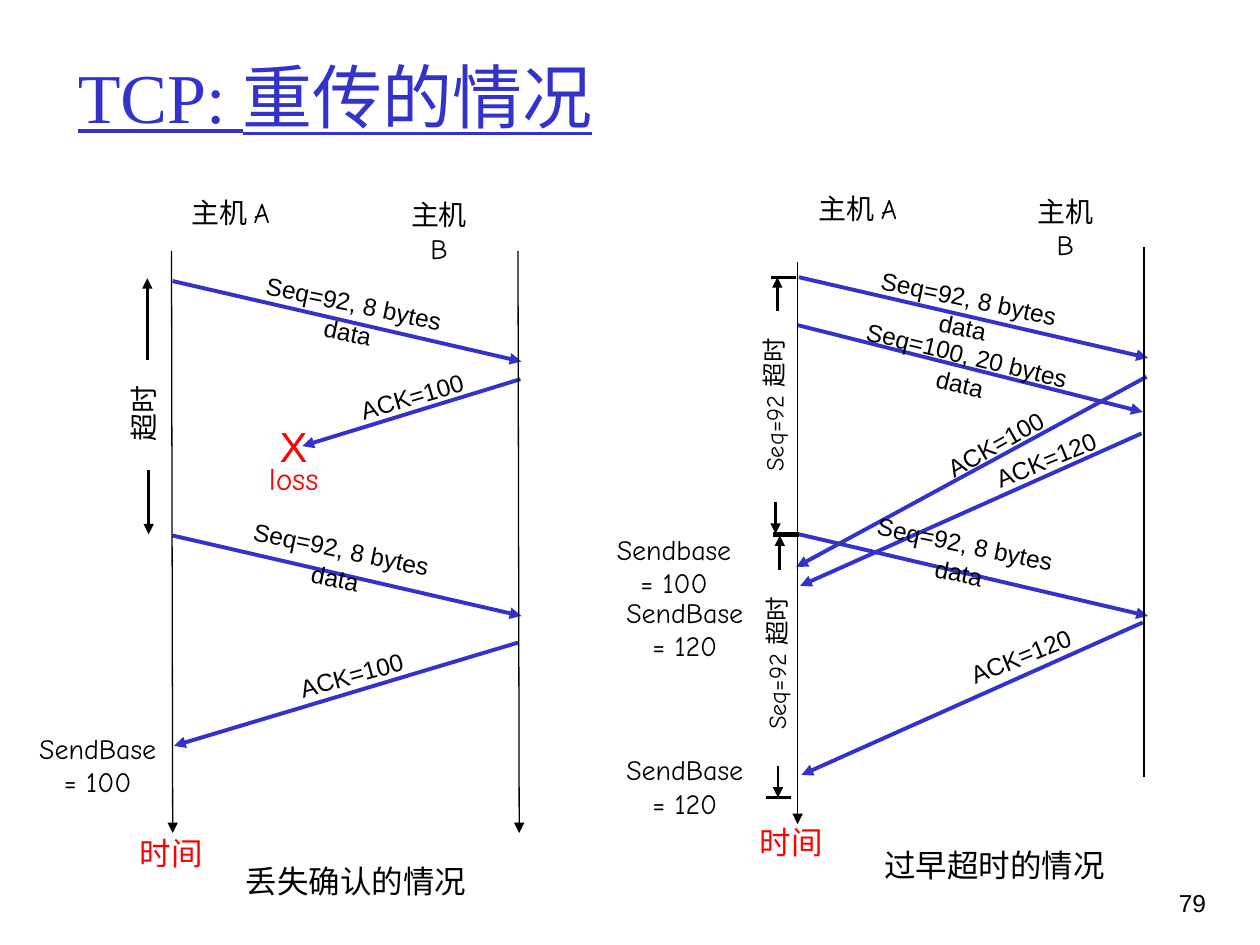
import pptx
import pptx.dml.color
import pptx.enum.shapes
import pptx.enum.text
import pptx.oxml.ns
import pptx.util
from lxml import etree

Pt = pptx.util.Pt
BLUE = pptx.dml.color.RGBColor(0x33, 0x33, 0xCC)
BLACK = pptx.dml.color.RGBColor(0, 0, 0)
RED = pptx.dml.color.RGBColor(0xFF, 0, 0)
SANS = "Arial"
HAND = "Comic Neue"
SERIF = "Times New Roman"
SEQ_92 = "Seq=92, 8 bytes data"
SEQ_WIDTH = 142
SEQ_TILT = 11.8


def add_line(slide, x1, y1, x2, y2, color=BLACK, width=1.5, arrow=True):
    line = slide.shapes.add_connector(
        pptx.enum.shapes.MSO_CONNECTOR.STRAIGHT, Pt(x1), Pt(y1), Pt(x2), Pt(y2))
    line.line.color.rgb = color
    line.line.width = Pt(width)
    if arrow:
        tail = etree.SubElement(line.line._get_or_add_ln(), pptx.oxml.ns.qn("a:tailEnd"))
        tail.set("type", "triangle")
    etree.SubElement(line._element.spPr, pptx.oxml.ns.qn("a:effectLst"))


def add_message(slide, x1, y1, x2, y2):
    add_line(slide, x1, y1, x2, y2, BLUE, 2.25)


def add_label(slide, text, center_x, center_y, width, size=14, font=SANS,
              color=BLACK, rotation=0, wrap=False):
    lines = text.split("\n")
    height = 1.2 * size * len(lines) + 7.2
    label = slide.shapes.add_textbox(
        Pt(center_x - width / 2), Pt(center_y - height / 2), Pt(width), Pt(height))
    label.rotation = rotation
    frame = label.text_frame
    frame.word_wrap = wrap
    if not wrap:
        frame.auto_size = pptx.enum.text.MSO_AUTO_SIZE.SHAPE_TO_FIT_TEXT
    frame.text = text
    for paragraph in frame.paragraphs:
        paragraph.alignment = pptx.enum.text.PP_ALIGN.CENTER
        paragraph.font.size = Pt(size)
        paragraph.font.name = font
        paragraph.font.color.rgb = color


def add_segment(slide, text, x, y, tilt=SEQ_TILT):
    add_label(slide, text, x, y, SEQ_WIDTH, rotation=tilt, wrap=True)


def add_ack(slide, number, x, y, tilt):
    add_label(slide, f"ACK={number}", x, y, 76, rotation=tilt)


def add_send_base(slide, name, number, x, y):
    add_label(slide, f"{name}\n= {number}", x, y, 87, 16, HAND)


def add_hosts(slide, a_x, a_y, b_x, b_y):
    add_label(slide, "主机 A", a_x, a_y, 63, 16, HAND)
    add_label(slide, "主机 B", b_x, b_y, 56, 16, HAND, wrap=True)


def add_timeout(slide, x, top, bottom, top_tick, bottom_tick):
    add_label(slide, "Seq=92 超时", x - 2, top + 73, 95, 14, HAND, rotation=270)
    add_line(slide, x, top + 19.5, x, top)
    add_line(slide, x - 1, bottom - 18, x - 1, bottom)
    for tick, y in ((top_tick, top), (bottom_tick, bottom)):
        add_line(slide, tick, y, tick + 14.4, y, arrow=False)


def add_heading(slide):
    heading = slide.shapes.add_textbox(Pt(37.4), Pt(18.7), Pt(612), Pt(71.3))
    frame = heading.text_frame
    frame.word_wrap = True
    frame.vertical_anchor = pptx.enum.text.MSO_ANCHOR.MIDDLE
    frame.text = "TCP: 重传的情况"
    font = frame.paragraphs[0].font
    font.size = Pt(40)
    font.name = SERIF
    font.color.rgb = BLUE
    font.underline = True


def add_page_number(slide):
    number = slide.shapes.add_textbox(Pt(643), Pt(504), Pt(53.3), Pt(36))
    number.text_frame.word_wrap = True
    number.text_frame.text = "79"
    paragraph = number.text_frame.paragraphs[0]
    paragraph.alignment = pptx.enum.text.PP_ALIGN.RIGHT
    paragraph.font.size = Pt(14)
    paragraph.font.name = SANS
    paragraph.font.color.rgb = BLACK


def add_lost_ack(slide):
    add_hosts(slide, 131.8, 121.3, 250.9, 122.8)
    for message in ((297.4, 216.7, 172.8, 254.9), (98.6, 160.6, 298, 206.6),
                    (98.6, 306, 298, 352), (296, 367.2, 99.4, 426.2)):
        add_message(slide, *message)
    for x in (98, 296):
        add_line(slide, x, 143.3, x + 0.7, 476, width=0.75)
    add_segment(slide, SEQ_92, 202.3, 173.2)
    add_segment(slide, SEQ_92, 195.1, 313.6)
    add_ack(slide, 100, 235.4, 226.4, 343.6)
    add_ack(slide, 100, 200.9, 385.6, 344.6)
    add_label(slide, "loss", 167.8, 272.9, 46, 18, HAND, RED)
    add_label(slide, "X", 167.8, 254.9, 30, 24, SANS, RED)
    add_label(slide, "超时", 81.7, 236.5, 47, 16, HAND, rotation=270)
    add_line(slide, 84.2, 206, 84.2, 159)
    add_line(slide, 85, 268.6, 85, 305.3)
    add_label(slide, "时间", 97.9, 487.4, 50.4, 18, HAND, RED)
    add_send_base(slide, "SendBase", 100, 55.8, 437)
    add_label(slide, "丢失确认的情况", 203.4, 503.3, 140.4, 18, HAND)


def add_early_timeout(slide):
    add_hosts(slide, 490.3, 119.2, 608.8, 120.6)
    for message in ((652.3, 247.7, 457.2, 334.8), (655.2, 215.3, 455, 324),
                    (456.5, 158.4, 656, 204.5), (456.5, 305.3, 656, 352),
                    (455.8, 185.8, 653, 235.4), (653, 355.7, 458, 442.8)):
        add_message(slide, *message)
    add_line(slide, 455.8, 149.8, 455.8, 470.9, width=0.75)
    add_line(slide, 653.8, 141, 653.8, 444.2, width=0.75, arrow=False)
    add_segment(slide, SEQ_92, 553.7, 170.3)
    add_segment(slide, "Seq=100, 20 bytes data", 552.6, 202.7, 13.5)
    add_segment(slide, SEQ_92, 551.5, 310.7)
    add_ack(slide, 100, 568.8, 253.8, 330.5)
    add_ack(slide, 120, 597.6, 262.4, 337.7)
    add_ack(slide, 120, 583.2, 374.8, 337.7)
    add_timeout(slide, 444.2, 158.4, 305, 440.6, 442)
    add_timeout(slide, 445.6, 306, 455.8, 442, 437.8)
    add_label(slide, "时间", 452.2, 481, 50.4, 18, HAND, RED)
    add_send_base(slide, "SendBase", 120, 391.3, 359.3)
    add_send_base(slide, "SendBase", 120, 391.3, 449.3)
    add_send_base(slide, "Sendbase", 100, 385.2, 323.3)
    add_label(slide, "过早超时的情况", 568.4, 494.6, 140.4, 18, HAND)


def main():
    deck = pptx.Presentation()
    deck.slide_width = Pt(720)
    deck.slide_height = Pt(540)
    slide = deck.slides.add_slide(deck.slide_layouts[6])
    add_heading(slide)
    add_early_timeout(slide)
    add_lost_ack(slide)
    add_page_number(slide)
    deck.save("out.pptx")


if __name__ == "__main__":
    main()
